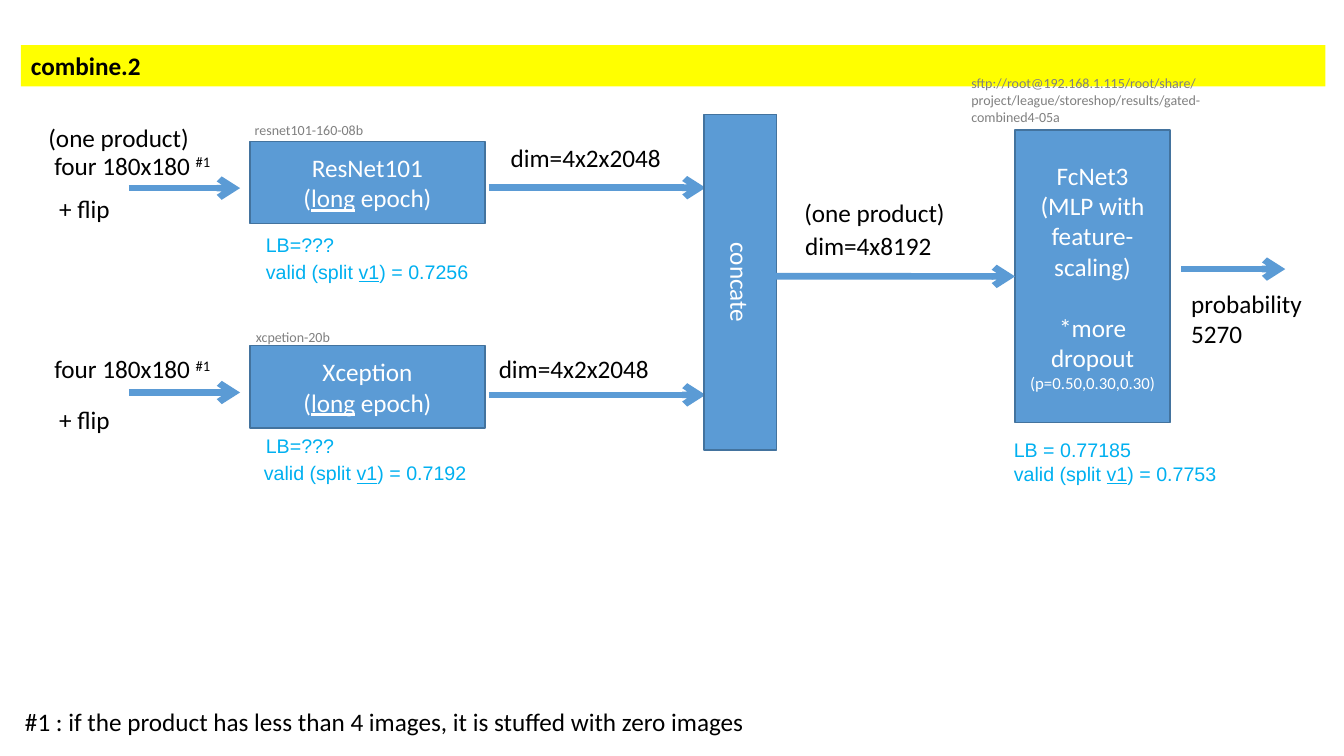
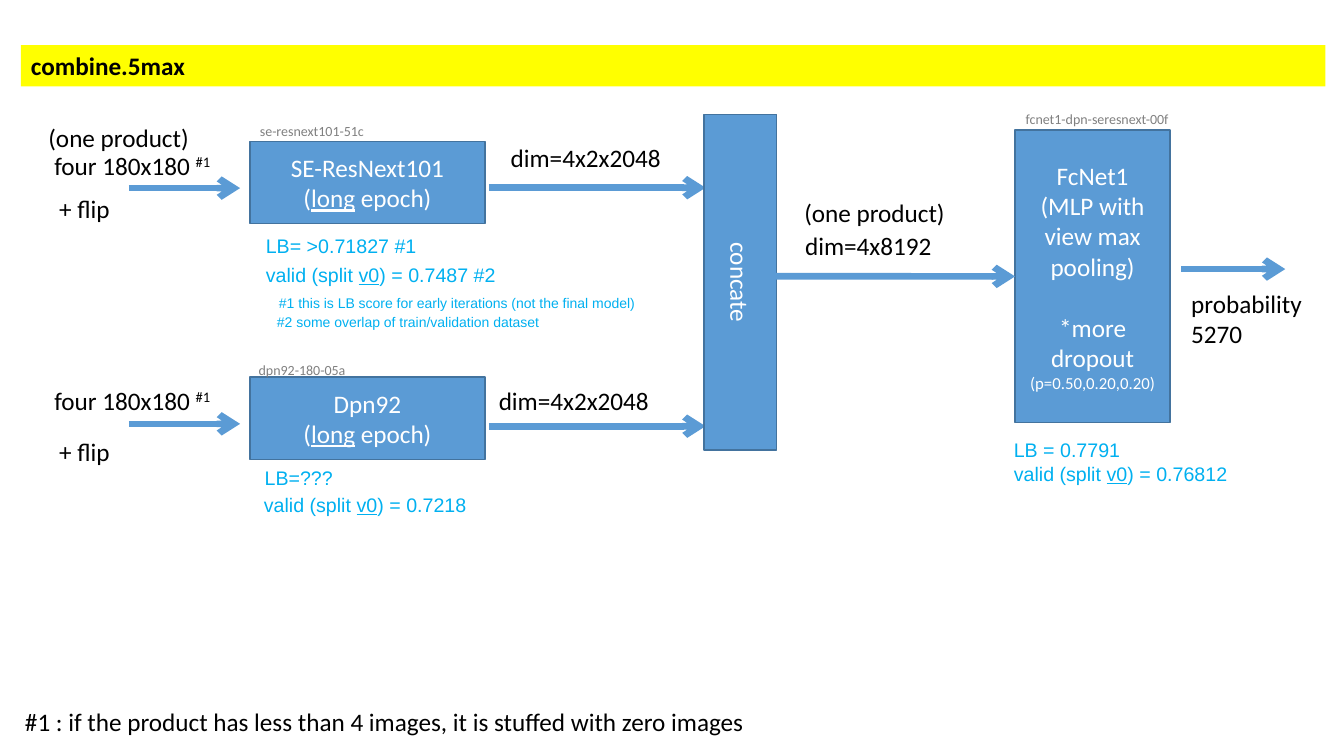
import dataclasses

import lxml.etree
import pptx
import pptx.dml.color
import pptx.enum.shapes
import pptx.enum.text
import pptx.oxml.ns
import pptx.util

Cm = pptx.util.Cm
Pt = pptx.util.Pt
ALIGN = pptx.enum.text.PP_ALIGN
ANCHOR = pptx.enum.text.MSO_ANCHOR
qn = pptx.oxml.ns.qn


def color(value):
    return pptx.dml.color.RGBColor.from_string(value)


@dataclasses.dataclass
class Span:
    text: str
    size: float = 0
    underline: bool = False
    raised: bool = False


@dataclasses.dataclass
class Para:
    spans: list
    before: float = 0
    indent: float = 0


@dataclasses.dataclass
class Look:
    size: float
    font: str
    ink: str
    bold: bool = False
    align: int = ALIGN.LEFT


@dataclasses.dataclass
class Branch:
    top: float
    network: str
    run_name: str
    run_at: tuple
    score: str
    score_at: tuple
    valid: list
    valid_at: tuple
    dim_at: tuple
    input_drop: float
    flip_drop: float
    arrow_drop: float


class Sketch:
    blue = "5B9BD5"
    edge = "43739E"
    yellow = "FFFF00"
    label = Look(18, "Calibri", "000000")
    title = Look(18, "Calibri", "000000", bold=True)
    node_text = Look(18, "Calibri", "FFFFFF", align=ALIGN.CENTER)
    score = Look(14, "Arial", "00B0F0")
    run_name = Look(10, "Calibri", "808080")

    def __init__(self):
        self.deck = pptx.Presentation()
        self.deck.slide_width = Cm(33.87)
        self.deck.slide_height = Cm(19.05)
        self.page = None

    def add_page(self, title):
        self.page = self.deck.slides.add_slide(self.deck.slide_layouts[6])
        band = self.rectangle(0.53, 1.14, 32.87, 1.04, self.yellow)
        band.text_frame.vertical_anchor = ANCHOR.TOP
        self.fill_text(band, [title], self.title)
        self.text(0.38, 17.68, 26.57, [
            "#1 : if the product has less than 4 images, it is stuffed with zero images"])

    def fill_text(self, box, paragraphs, look):
        frame = box.text_frame
        frame.word_wrap = True
        for index, content in enumerate(paragraphs):
            if isinstance(content, str):
                content = Para([Span(content)])
            para = frame.add_paragraph() if index else frame.paragraphs[0]
            para.alignment = look.align
            para.space_before = Pt(content.before)
            if content.indent:
                para._p.get_or_add_pPr().set("marL", str(Cm(content.indent)))
            for span in content.spans:
                run = para.add_run()
                run.text = span.text
                run.font.name = look.font
                run.font.size = Pt(span.size or look.size)
                run.font.bold = look.bold
                run.font.underline = span.underline
                run.font.color.rgb = color(look.ink)
                if span.raised:
                    run._r.get_or_add_rPr().set("baseline", "30000")

    def text(self, left, top, width, paragraphs, look=label, height=1.04):
        box = self.page.shapes.add_textbox(Cm(left), Cm(top), Cm(width), Cm(height))
        self.fill_text(box, paragraphs, look)

    def rectangle(self, left, top, width, height, fill):
        box = self.page.shapes.add_shape(
            pptx.enum.shapes.MSO_SHAPE.RECTANGLE, Cm(left), Cm(top), Cm(width), Cm(height))
        box.shadow.inherit = False
        box.fill.solid()
        box.fill.fore_color.rgb = color(fill)
        box.line.fill.background()
        return box

    def node(self, left, top, width, height, paragraphs, rotation=0):
        box = self.rectangle(left, top, width, height, self.blue)
        box.rotation = rotation
        box.line.color.rgb = color(self.edge)
        box.line.width = Pt(1)
        box.text_frame.vertical_anchor = ANCHOR.MIDDLE
        self.fill_text(box, paragraphs, self.node_text)
        return box

    def arrow(self, start, end, level, target=None):
        line = self.page.shapes.add_connector(
            pptx.enum.shapes.MSO_CONNECTOR.STRAIGHT, Cm(start), Cm(level), Cm(end), Cm(level))
        if target is not None:
            line.end_connect(target, 1)
        line.line.color.rgb = color(self.blue)
        line.line.width = Pt(4.75)
        lxml.etree.SubElement(line.get_or_add_ln(), qn("a:tailEnd"), type="arrow")
        lxml.etree.SubElement(line._element.spPr, qn("a:effectLst"))

    def branch(self, item):
        top = item.top
        self.node(6.3, top, 5.92, 2.08, [
            item.network,
            Para([Span("("), Span("long", underline=True), Span(" epoch)")])])
        self.arrow(3.25, 6.05, top + 1.18)
        self.text(1.12, top + item.input_drop, 5.11, [
            Para([Span("four 180x180 "), Span("#1", raised=True)])])
        self.text(1.24, top + item.flip_drop, 5.13, ["+ flip"])
        self.arrow(12.32, 17.78, top + item.arrow_drop)
        dim_left, dim_drop = item.dim_at
        self.text(dim_left, top + dim_drop, 5, ["dim=4x2x2048"])
        run_left, run_drop = item.run_at
        self.text(run_left, top + run_drop, 7.06, [item.run_name], self.run_name, 0.69)
        score_left, score_drop = item.score_at
        self.text(score_left, top + score_drop, 7.06, [item.score], self.score, 0.84)
        valid_left, valid_drop = item.valid_at
        self.text(valid_left, top + valid_drop, 11.61, item.valid, self.score, 0.84)

    def merge(self, head, dropout, result):
        self.text(0.97, 2.97, 4.72, ["(one product)"])
        self.node(14.43, 6.2, 8.46, 1.83, ["concate"], rotation=90)
        classifier = self.node(25.58, 3.28, 3.91, 7.37, [
            *head,
            Para([Span("*more dropout")], before=22),
            Para([Span(dropout, size=12)])])
        self.arrow(19.38, 25.58, 6.96, classifier)
        self.text(20.02, 4.85, 4.72, ["(one product)"])
        self.text(20.04, 5.69, 4.72, ["dim=4x8192"])
        self.arrow(29.77, 32.39, 6.78)
        self.text(29.77, 7.14, 4.1, ["probability", "5270"], height=1.8)
        self.text(25.3, 10.92, 7.98, result, self.score, 1.45)


def valid(split, value):
    return Para([Span("valid (split "), Span(split, underline=True), Span(") = " + value)])


def upper(**details):
    return Branch(top=3.56, dim_at=(12.62, -0.1), input_drop=0.1,
                  flip_drop=1.19, arrow_drop=1.17, **details)


def lower(**details):
    return Branch(dim_at=(12.32, 0.08), valid_at=(6.4, 2.79), input_drop=0.08,
                  flip_drop=1.36, arrow_drop=1.24, **details)


def main():
    sketch = Sketch()

    sketch.add_page("combine.2")
    sketch.branch(upper(
        network="ResNet101", run_name="resnet101-160-08b", run_at=(6.17, -0.63),
        score="LB=???", score_at=(6.45, 2.18),
        valid=[valid("v1", "0.7256")], valid_at=(6.45, 2.87)))
    sketch.branch(lower(
        top=8.71, network="Xception", run_name="xcpetion-20b", run_at=(6.2, -0.56),
        score="LB=???", score_at=(6.45, 2.11), valid=[valid("v1", "0.7192")]))
    sketch.merge(["FcNet3", "(MLP with feature-scaling)"], "(p=0.50,0.30,0.30)",
                 ["LB = 0.77185", valid("v1", "0.7753")])
    sketch.text(24.23, 1.75, 7.06, [
        "sftp://root@192.168.1.115/root/share/project/league/storeshop/results/gated-combined4-05a"],
        sketch.run_name, 1.52)

    sketch.add_page("combine.5max")
    sketch.branch(upper(
        network="SE-ResNext101", run_name="se-resnext101-51c", run_at=(6.3, -0.59),
        score="LB= >0.71827 #1", score_at=(6.45, 2.21),
        valid=[
            valid("v0", "0.7487 #2"),
            Para([Span("#1 this is LB score for early iterations (not the final model)", size=10)],
                 before=6, indent=0.33),
            Para([Span("#2 some overlap of train/validation dataset", size=10)],
                 before=1.4, indent=0.28)],
        valid_at=(6.45, 2.94)))
    sketch.branch(lower(
        top=9.5, network="Dpn92", run_name="dpn92-180-05a", run_at=(6.27, -0.51),
        score="LB=???", score_at=(6.42, 2.12), valid=[valid("v0", "0.7218")]))
    sketch.merge(["FcNet1", "(MLP with view max pooling)"], "(p=0.50,0.20,0.20)",
                 ["LB = 0.7791", valid("v0", "0.76812")])
    sketch.text(25.6, 2.67, 5.69, ["fcnet1-dpn-seresnext-00f"], sketch.run_name, 0.69)

    sketch.deck.save("out.pptx")


if __name__ == "__main__":
    main()
